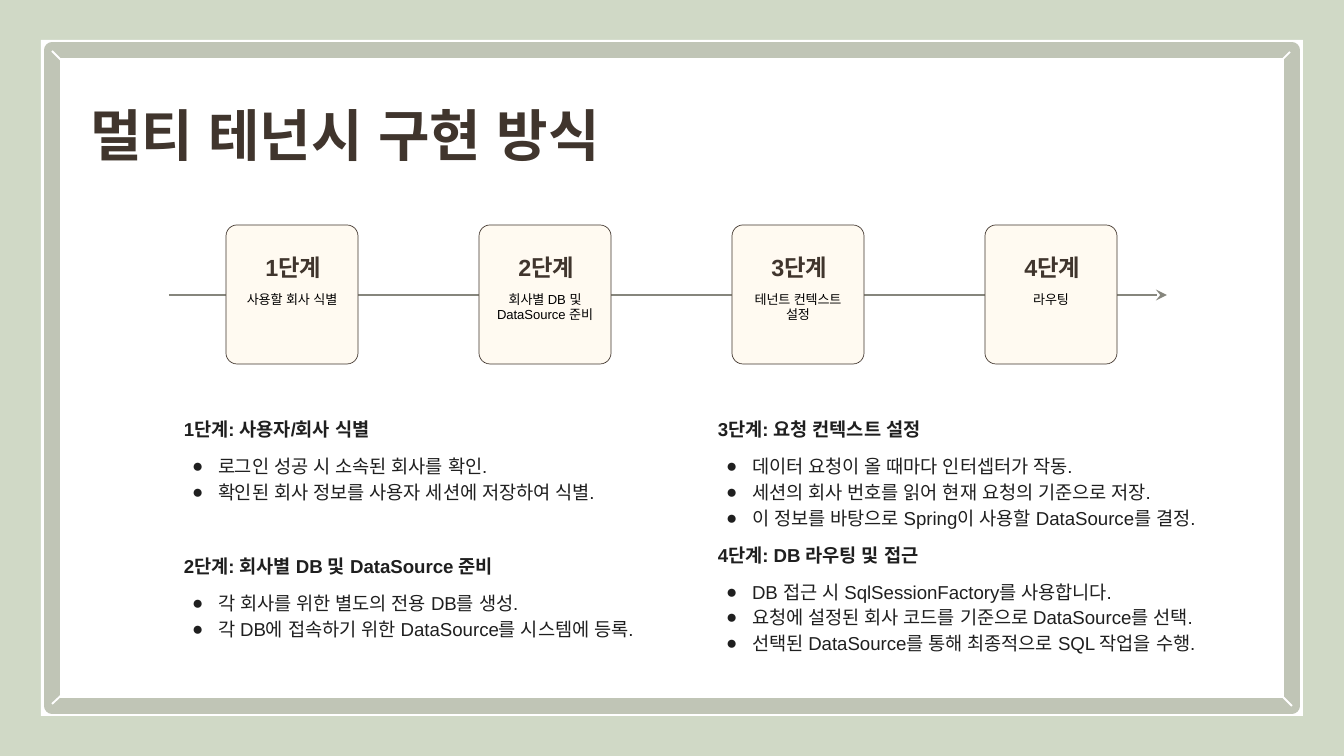
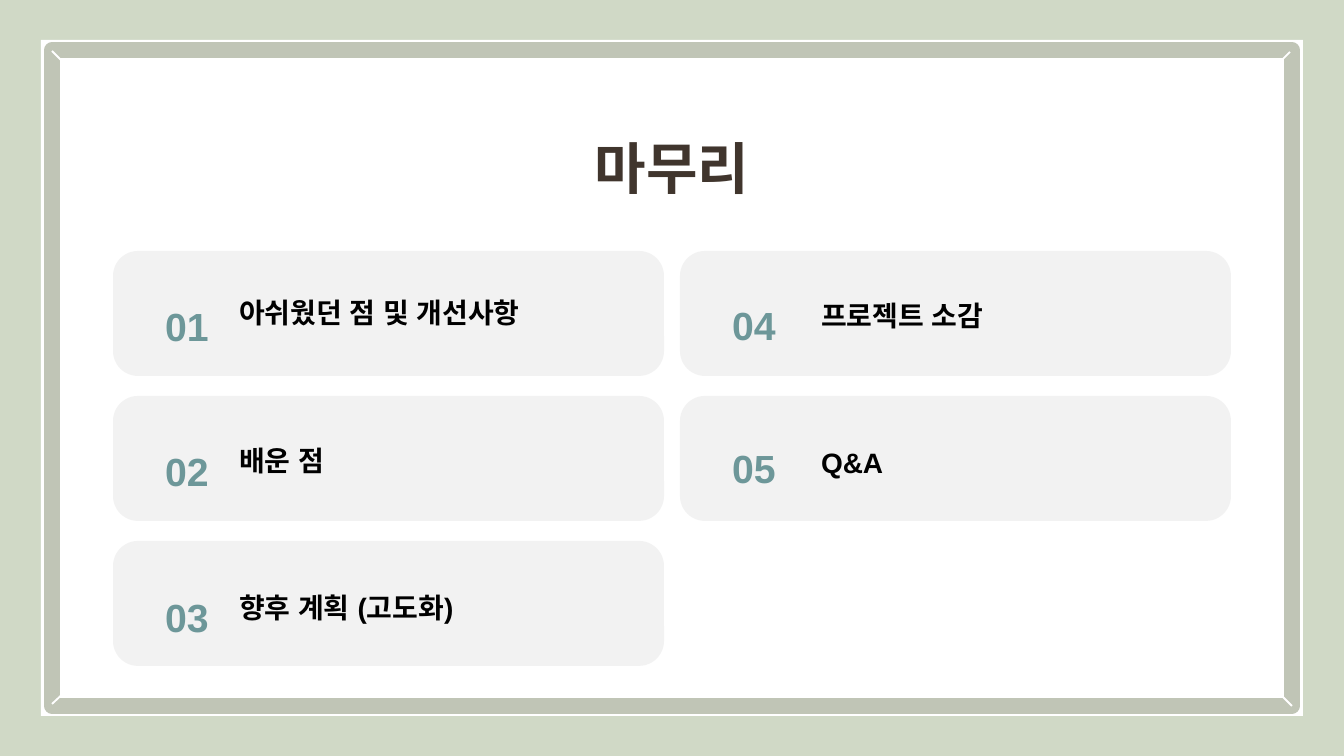
import pptx
import pptx.util
import pptx.dml.color
import pptx.enum.shapes
import pptx.enum.text
import pptx.oxml.ns
from lxml import etree

RGB = pptx.dml.color.RGBColor
SHAPE = pptx.enum.shapes.MSO_SHAPE
ALIGN = pptx.enum.text.PP_ALIGN
qn = pptx.oxml.ns.qn
Pt = pptx.util.Pt

SAGE = RGB(0xD0, 0xD9, 0xC6)
MOSS = RGB(0xC0, 0xC5, 0xB6)
WHITE = RGB(0xFF, 0xFF, 0xFF)
BLACK = RGB(0x00, 0x00, 0x00)
BROWN = RGB(0x40, 0x35, 0x2D)
CREAM = RGB(0xFF, 0xFA, 0xF1)
STONE = RGB(0x86, 0x86, 0x7D)
INK = RGB(0x1F, 0x1F, 0x1F)
MIST = RGB(0xF2, 0xF2, 0xF2)
TEAL = RGB(0x6D, 0x97, 0x99)
FONT = "Arial"

FLOW_TITLE = "멀티 테넌시 구현 방식"
STEPS = [
    ("1단계", "사용할 회사 식별"),
    ("2단계", "회사별 DB 및 DataSource 준비"),
    ("3단계", "테넌트 컨텍스트 설정"),
    ("4단계", "라우팅"),
]
# left px, then (heading, space before in pt, bullets)
NOTES = [
    (184, [
        ("1단계: 사용자/회사 식별", 0, [
            "로그인 성공 시 소속된 회사를 확인.",
            "확인된 회사 정보를 사용자 세션에 저장하여 식별."]),
        ("2단계: 회사별 DB 및 DataSource 준비", 26, [
            "각 회사를 위한 별도의 전용 DB를 생성.",
            "각 DB에 접속하기 위한 DataSource를 시스템에 등록."]),
    ]),
    (718, [
        ("3단계: 요청 컨텍스트 설정", 0, [
            "데이터 요청이 올 때마다 인터셉터가 작동.",
            "세션의 회사 번호를 읽어 현재 요청의 기준으로 저장.",
            "이 정보를 바탕으로 Spring이 사용할 DataSource를 결정."]),
        ("4단계: DB 라우팅 및 접근", 6, [
            "DB 접근 시 SqlSessionFactory를 사용합니다.",
            "요청에 설정된 회사 코드를 기준으로 DataSource를 선택.",
            "선택된 DataSource를 통해 최종적으로 SQL 작업을 수행."]),
    ]),
]
END_TITLE = "마무리"
# label, number top and label top in px
TOPICS = [
    ("아쉬웠던 점 및 개선사항", 284, 298),
    ("배운 점", 429, 446),
    ("향후 계획 (고도화)", 575, 593),
    ("프로젝트 소감", 283, 301),
    ("Q&A", 426, 448),
]
ROWS = 3
LABEL_X = (239, 821)
CORNERS = [(52, 51, 67, 66), (1276, 690, 1292, 706),
           (52, 704, 66, 691), (1276, 66, 1290, 52)]


def px(num):
    return round(num * 914400 / 134.4)


def style(para, size, color, bold=False, align=ALIGN.LEFT, space=1.0):
    para.alignment = align
    para.line_spacing = space
    for run in para.runs:
        font = run.font
        font.size = Pt(size)
        font.bold = bold
        font.color.rgb = color
        font.name = FONT
        etree.SubElement(font._element, qn("a:ea"), typeface=FONT)


def frame(shape, top=0, side=0):
    text = shape.text_frame
    text.word_wrap = True
    text.vertical_anchor = pptx.enum.text.MSO_ANCHOR.TOP
    text.margin_left = text.margin_right = px(side)
    text.margin_top = px(top)
    text.margin_bottom = 0
    return text


def box(slide, left, top, width, height):
    return frame(slide.shapes.add_textbox(px(left), px(top), px(width), px(height)))


def label(slide, text, area, *look):
    para = box(slide, *area).paragraphs[0]
    para.text = text
    style(para, *look)


def panel(slide, area, fill, line=None, weight=0, radius=None):
    kind = SHAPE.RECTANGLE if radius is None else SHAPE.ROUNDED_RECTANGLE
    shape = slide.shapes.add_shape(kind, *map(px, area))
    shape.shadow.inherit = False
    shape.fill.solid()
    shape.fill.fore_color.rgb = fill
    if line is None:
        shape.line.fill.background()
    else:
        shape.line.color.rgb = line
        shape.line.width = Pt(weight)
    if radius is not None:
        shape.adjustments[0] = radius / min(area[2:])
    return shape


def rule(slide, ends, color, weight):
    line = slide.shapes.add_connector(
        pptx.enum.shapes.MSO_CONNECTOR.STRAIGHT, *map(px, ends))
    line.line.color.rgb = color
    line.line.width = Pt(weight)
    etree.SubElement(line._element.spPr, qn("a:effectLst"))
    return line


def bullet(para):
    props = para._p.get_or_add_pPr()
    props.set("marL", str(px(34)))
    props.set("indent", str(px(-26)))
    tint = etree.SubElement(props, qn("a:buClr"))
    etree.SubElement(tint, qn("a:srgbClr"), val=str(INK))
    etree.SubElement(props, qn("a:buFont"), typeface=FONT)
    etree.SubElement(props, qn("a:buChar"), char="●")


def base(deck, title, area, align):
    slide = deck.slides.add_slide(deck.slide_layouts[6])
    slide.background.fill.solid()
    slide.background.fill.fore_color.rgb = SAGE
    panel(slide, (41, 40, 1262, 676), WHITE)
    panel(slide, (52, 50, 1240, 656), WHITE, MOSS, 8.25)
    for ends in CORNERS:
        rule(slide, ends, WHITE, 1)
    label(slide, title, area, 30, BROWN, True, align, 1.4)
    return slide


def note(slide, left, groups):
    text = box(slide, left, 409, 524, 268)
    para = text.paragraphs[0]
    for head, gap, items in groups:
        if gap:
            para = text.add_paragraph()
        para.text = head
        style(para, 10, INK, True, ALIGN.LEFT, 1.15 if gap else 1.4)
        if gap:
            para.space_before = Pt(gap)
        for pos, item in enumerate(items):
            para = text.add_paragraph()
            para.text = item
            bullet(para)
            style(para, 10, INK, False, ALIGN.LEFT, 1.15)
            para.space_before = Pt(0 if pos else 6)


def flow(deck):
    slide = base(deck, FLOW_TITLE, (90, 74, 573, 67), ALIGN.LEFT)
    arrow = rule(slide, (169, 295, 1167, 295), STONE, 1.5)
    etree.SubElement(arrow.line._get_or_add_ln(), qn("a:tailEnd"), type="stealth")
    for pos, (name, text) in enumerate(STEPS):
        left = 226 + 253 * pos
        card = panel(slide, (left, 225, 132, 139), CREAM, BROWN, 0.38, 11)
        para = frame(card, 63, 6).paragraphs[0]
        para.text = text
        style(para, 7, BLACK, False, ALIGN.CENTER)
        label(slide, name, (left + 3, 242, 129, 28),
              12.5, BROWN, True, ALIGN.CENTER, 1.4)
    for left, groups in NOTES:
        note(slide, left, groups)


def closing(deck):
    slide = base(deck, END_TITLE, (390, 107, 564, 67), ALIGN.CENTER)
    for pos, (text, high, low) in enumerate(TOPICS):
        col, row = divmod(pos, ROWS)
        left = 113 + 567 * col
        panel(slide, (left, 251 + 145 * row, 551, 125), MIST, radius=25)
        label(slide, f"{pos + 1:02}", (left + 35, high, 78, 47),
              21, TEAL, True, ALIGN.CENTER, 1.4)
        label(slide, text, (LABEL_X[col], low, 350, 32),
              15, BLACK, True, ALIGN.LEFT, 0.96)


def main():
    deck = pptx.Presentation()
    deck.slide_width = px(1344)
    deck.slide_height = px(756)
    flow(deck)
    closing(deck)
    deck.save("out.pptx")


if __name__ == "__main__":
    main()
